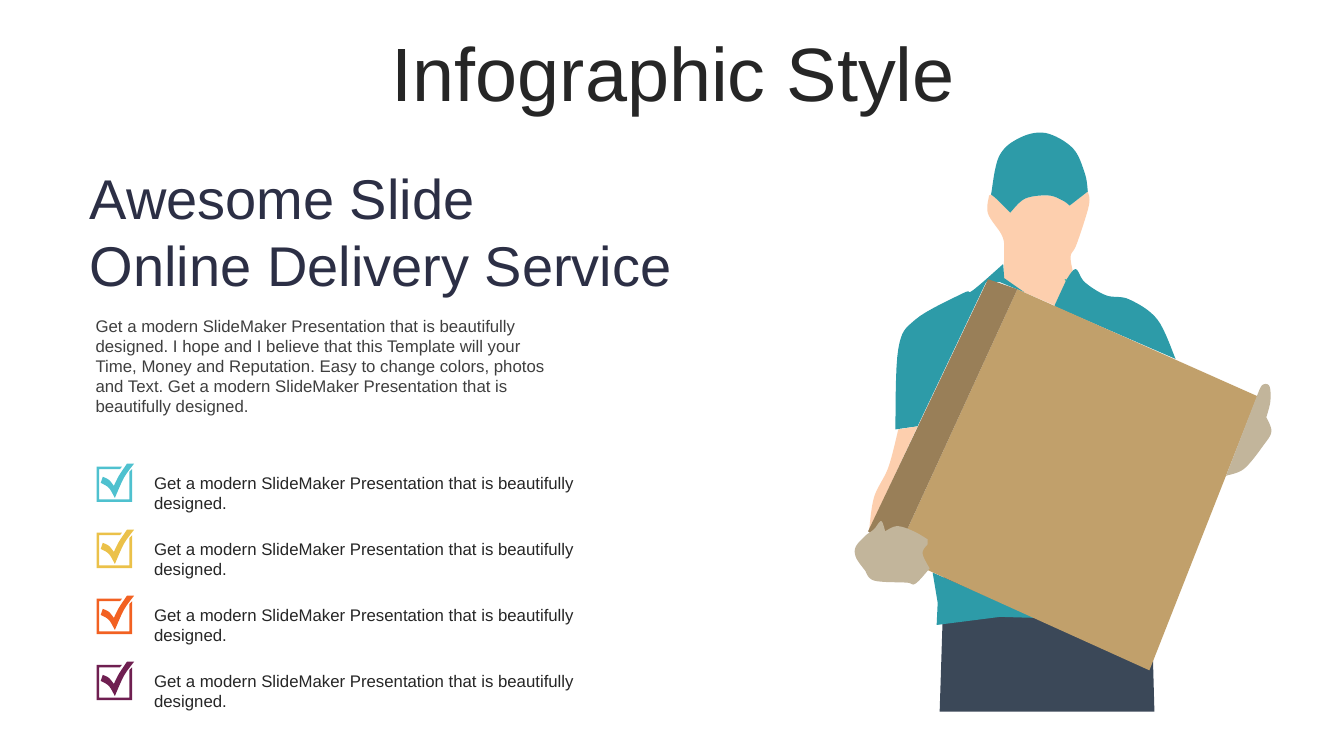
from dataclasses import dataclass

from pptx import Presentation
from pptx.dml.color import RGBColor
from pptx.enum.text import MSO_ANCHOR as Anchor, MSO_AUTO_SIZE as AutoSize, PP_ALIGN as Align
from pptx.util import Inches, Pt


@dataclass(frozen=True)
class Theme:
    font: str = "Arial"
    title_size: int = 54
    heading_size: int = 40
    body_size: int = 12
    ink: str = "262626"
    heading: str = "2C2F45"
    body: str = "3F3F3F"
    ticks: tuple = ("4FC1CF", "EBC149", "F26122", "6F1F51")
    trousers: str = "3B4858"
    skin: str = "FDCFAE"
    shirt: str = "2D9BA8"
    collar: str = "4FB7A7"
    carton: str = "C1A06B"
    carton_side: str = "997F58"
    glove: str = "C2B59B"


@dataclass(frozen=True)
class Box:
    left: float
    top: float
    width: float
    height: float

    def inner(self, left, top, width, height):
        return Box(self.left + left, self.top + top, width, height)

    def lengths(self):
        return [Inches(n) for n in (self.left, self.top, self.width, self.height)]


THEME = Theme()
CURVE_STEPS = 8
ITEM_PITCH = 0.655
OFFER = "Get a modern SlideMaker Presentation that is beautifully designed."
PROMISE = ("I hope and I believe that this Template will your Time, Money and Reputation. "
           "Easy to change colors, photos and Text.")


def curve(*anchors):
    """Return points on a smooth Catmull-Rom curve through the anchors."""
    padded = [anchors[0], *anchors, anchors[-1]]
    points = [anchors[0]]
    for before, start, end, after in zip(padded, padded[1:], padded[2:], padded[3:]):
        for step in range(1, CURVE_STEPS + 1):
            t = step / CURVE_STEPS
            points.append(tuple(
                b + t * (c - a + t * (2 * a - 5 * b + 4 * c - d + t * (3 * b - a - 3 * c + d))) / 2
                for a, b, c, d in zip(before, start, end, after)))
    return points


def add_outline(page, box, color, *contours):
    """Fill closed contours, given as points in inches from the box corner."""
    scaled = [[(Inches(x), Inches(y)) for x, y in contour] for contour in contours]
    builder = page.shapes.build_freeform(*scaled[0][0])
    for number, points in enumerate(scaled):
        if number:
            builder.move_to(*points[0])
        builder.add_line_segments(points[1:], close=True)
    shape = builder.convert_to_shape(Inches(box.left), Inches(box.top))
    shape.shadow.inherit = False
    shape.fill.solid()
    shape.fill.fore_color.rgb = RGBColor.from_string(color)
    shape.line.fill.background()


def write_text(shape, *lines, size, color, align=Align.LEFT, anchor=Anchor.TOP,
               insets=(0.1, 0.05), spacing=None, fit=AutoSize.SHAPE_TO_FIT_TEXT):
    frame = shape.text_frame
    frame.word_wrap = True
    frame.auto_size = fit
    frame.vertical_anchor = anchor
    frame.margin_left = frame.margin_right = Inches(insets[0])
    frame.margin_top = frame.margin_bottom = Inches(insets[1])
    for number, line in enumerate(lines):
        para = frame.add_paragraph() if number else frame.paragraphs[0]
        para.alignment = align
        para.line_spacing = spacing
        span = para.add_run()
        span.text = line
        span.font.name = THEME.font
        span.font.size = Pt(size)
        span.font.color.rgb = RGBColor.from_string(color)


def add_title(page, box):
    title = page.shapes.title
    title.left, title.top, title.width, title.height = box.lengths()
    write_text(title, "Infographic Style", size=THEME.title_size, color=THEME.ink,
               align=Align.CENTER, anchor=Anchor.MIDDLE, spacing=0.9, fit=AutoSize.NONE)


def add_introduction(page, box):
    heading = page.shapes.add_textbox(*box.inner(0, 0, box.width, 1.35).lengths())
    write_text(heading, "Awesome Slide", "Online Delivery Service", size=THEME.heading_size,
               color=THEME.heading, anchor=Anchor.MIDDLE, insets=(0.04, 0))
    intro = page.shapes.add_textbox(*box.inner(0, 1.47, 4.7, 1.11).lengths())
    write_text(intro, f"{OFFER} {PROMISE} {OFFER}", size=THEME.body_size, color=THEME.body)


def add_checkbox(page, box, color):
    """Draw a square frame, open at its top right corner, with a tick through the gap."""
    left, top, side, stroke = 0.01, 0.03, 0.35, 0.025
    right, bottom = left + side, top + side
    frame = [(right - 0.1, top), (left, top), (left, bottom), (right, bottom),
             (right, top + stroke), (right - stroke, top + 2 * stroke),
             (right - stroke, bottom - stroke), (left + stroke, bottom - stroke),
             (left + stroke, top + stroke), (right - 0.12, top + stroke)]
    long_stroke = curve((0.38, 0), (0.28, 0.14), (0.19, 0.34))
    short_stroke = curve((0.19, 0.34), (0.13, 0.24), (0.05, 0.19))
    upper_edge = curve((0.07, 0.13), (0.13, 0.16), (0.18, 0.22))
    return_edge = curve((0.18, 0.22), (0.23, 0.12), (0.31, 0))
    add_outline(page, box, color, frame, long_stroke + short_stroke + upper_edge + return_edge)


def add_checklist(page, box):
    for row, color in enumerate(THEME.ticks):
        item = box.inner(0, row * ITEM_PITCH, box.width, ITEM_PITCH)
        add_checkbox(page, item, color)
        label = page.shapes.add_textbox(*item.inner(0.48, 0.04, box.width - 0.48, 0.3).lengths())
        write_text(label, OFFER, size=THEME.body_size, color=THEME.ink)


def add_trousers(page, box):
    waist = [(0.91, 3.87), (1.45, 3.79), (1.8, 3.8), (2.94, 4.29)]
    ankles = [(2.98, box.height), (0.85, box.height)]
    add_outline(page, box, THEME.trousers, waist + ankles)


def add_head(page, box):
    left_temple, right_temple = (1.36, 0.61), (2.32, 0.58)
    left_notch, right_notch = (1.55, 0.79), (2.14, 0.72)
    hairline = (curve(left_temple, (1.42, 0.66), left_notch)
                + curve(left_notch, (1.7, 0.65), (1.93, 0.62), (2.07, 0.67), right_notch)
                + [right_temple])
    right_cheek = curve(right_temple, (2.33, 0.72), (2.21, 1.1), (2.15, 1.22), (2.17, 1.37))
    neckline = [(1.99, 1.71), (1.69, 1.58), (1.53, 1.49)]
    left_cheek = curve((1.48, 1.44), (1.49, 1.18), (1.47, 1.02), (1.33, 0.8), (1.34, 0.62))
    add_outline(page, box, THEME.skin, hairline + right_cheek + neckline + left_cheek)

    crown = curve(right_temple, (2.29, 0.4), (2.17, 0.15), (1.9, 0),
                  (1.64, 0.05), (1.44, 0.23), left_temple)
    add_outline(page, box, THEME.shirt, hairline + crown)


def add_shirt(page, box):
    left_shoulder = curve((1.48, 1.3), (1.18, 1.56), (1.08, 1.59), (0.61, 1.85),
                          (0.44, 2.14), (0.41, 2.94))
    left_cuff = [(0.63, 2.91), (1.31, 1.48), (1.45, 1.48), (1.69, 1.58), (1.49, 1.44)]
    right_shoulder = curve((2.11, 1.45), (2.2, 1.35), (2.29, 1.48), (2.5, 1.61),
                           (2.73, 1.65), (3.01, 1.85), (3.19, 2.24))
    chest = [(1.99, 1.72), (1.99, 1.71)]
    hem = [(0.78, 4.36), (0.83, 4.66), (0.82, 4.88), (1.45, 3.8 - 0), (1.8, 3.81)]
    hem = [(0.78, 4.36), (0.83, 4.66), (0.82, 4.88), (1.45, 4.8), (1.8, 4.81)]
    for part in (left_shoulder + left_cuff, right_shoulder + chest, hem):
        add_outline(page, box, THEME.shirt, part)
    add_outline(page, box, THEME.collar, [(2.11, 1.45), (2.1, 1.47), (2.09, 1.45)])


def add_forearm(page, box):
    cuff, wrist = (0.44, 2.94), (0.15, 3.94)
    outer_edge = curve(wrist, (0.2, 3.61), (0.34, 3.32), cuff)
    add_outline(page, box, THEME.skin, outer_edge + [(0.63, 2.91)])


def add_carton(page, box):
    top, right, bottom, left = (1.62, 1.55), (4, 2.61), (2.93, 5.33), (0.41, 4.19)
    add_outline(page, box, THEME.carton, [top, right, bottom, left])
    add_outline(page, box, THEME.carton_side, [top, (1.33, 1.45), (0.14, 3.95), left])


def add_gloves(page, box):
    thumb = curve((0.13, 3.98), (0.2, 3.93), (0.27, 3.85), (0.31, 3.95))
    knuckles = curve((0.31, 3.95), (0.43, 3.9), (0.59, 3.95), (0.73, 4.03))
    fingertips = curve((0.73, 4.08), (0.68, 4.17), (0.75, 4.32))
    palm = curve((0.75, 4.32), (0.61, 4.47), (0.52, 4.46), (0.2, 4.44), (0.11, 4.34))
    heel = curve((0.11, 4.34), (0.02, 4.21), (0.02, 4.1), (0.13, 3.98))
    add_outline(page, box, THEME.glove, thumb + knuckles + fingertips + palm + heel)

    far_fingers = curve((4, 2.6), (4.05, 2.5), (4.12, 2.51), (4.13, 2.66), (4.09, 2.82))
    far_palm = curve((4.09, 2.82), (4.14, 2.96), (4.06, 3.1), (3.87, 3.33), (3.69, 3.4))
    add_outline(page, box, THEME.glove, far_fingers + far_palm)


def add_courier(page, box):
    """Stack the courier's parts from back to front."""
    for add_part in (add_trousers, add_head, add_shirt, add_forearm, add_carton, add_gloves):
        add_part(page, box)


def main():
    deck = Presentation()
    deck.slide_width, deck.slide_height = Inches(13.33), Inches(7.5)
    page = deck.slides.add_slide(deck.slide_layouts.get_by_name("Title Only"))
    add_title(page, Box(0.35, 0.37, 12.66, 0.79))
    add_checklist(page, Box(0.95, 4.6, 5.4, 2.62))
    add_introduction(page, Box(0.85, 1.61, 6.05, 2.58))
    add_courier(page, Box(8.47, 1.32, 4.15, 5.74))
    deck.save("out.pptx")


if __name__ == "__main__":
    main()
